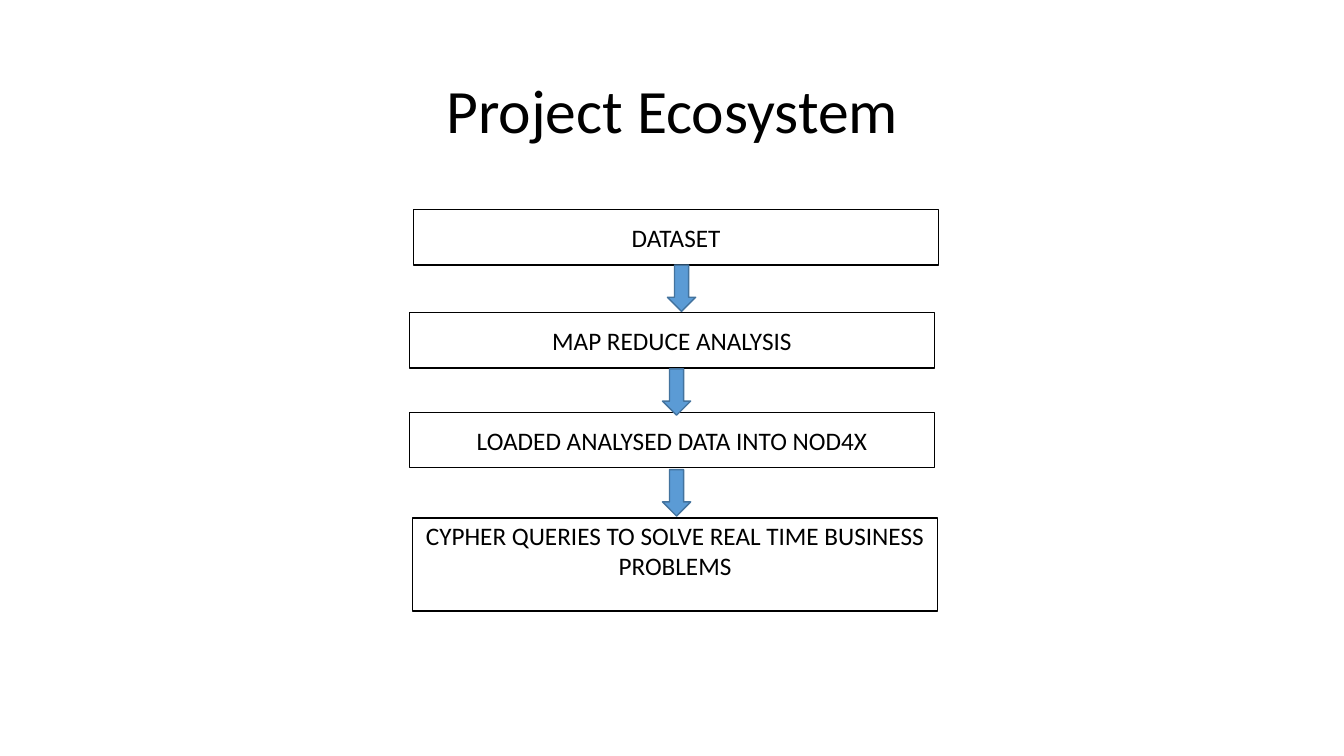
from dataclasses import dataclass

from pptx import Presentation
from pptx.dml.color import RGBColor
from pptx.enum.shapes import MSO_SHAPE
from pptx.enum.text import MSO_ANCHOR, PP_ALIGN
from pptx.util import Inches, Pt

RECT, DOWN_ARROW = MSO_SHAPE.RECTANGLE, MSO_SHAPE.DOWN_ARROW
TOP, MIDDLE = MSO_ANCHOR.TOP, MSO_ANCHOR.MIDDLE
CENTER = PP_ALIGN.CENTER


@dataclass(frozen=True)
class Theme:
    font: str = "Calibri"
    ink: str = "000000"
    paper: str = "FFFFFF"
    arrow: str = "5B9BD5"
    arrow_line: str = "43739E"
    title_size: int = 44
    step_size: int = 18
    line_width: int = 1


def write(tf, text, *, font, size, color, anchor=MIDDLE, line_spacing=None,
          margin_top=0.05):
    """Fill a text frame with one centred, wrapped paragraph."""
    tf.word_wrap = True
    tf.vertical_anchor = anchor
    tf.margin_top = Inches(margin_top)
    p = tf.paragraphs[0]
    p.alignment = CENTER
    if line_spacing:
        p.line_spacing = line_spacing
    r = p.add_run()
    r.text = text
    r.font.name = font
    r.font.size = Pt(size)
    r.font.color.rgb = RGBColor.from_string(color)


class SlideBuilder:
    def __init__(self, slide, theme):
        self.slide = slide
        self.theme = theme

    def shape(self, kind, box, fill, line):
        sp = self.slide.shapes.add_shape(kind, *map(Inches, box))
        sp.shadow.inherit = False
        sp.fill.solid()
        sp.fill.fore_color.rgb = RGBColor.from_string(fill)
        sp.line.color.rgb = RGBColor.from_string(line)
        sp.line.width = Pt(self.theme.line_width)
        return sp

    def title(self, text, box):
        t = self.theme
        sp = self.slide.shapes.add_textbox(*map(Inches, box))
        write(sp.text_frame, text, font=t.font, size=t.title_size,
              color=t.ink, line_spacing=0.9)

    def step(self, text, box, **text_format):
        t = self.theme
        sp = self.shape(RECT, box, t.paper, t.ink)
        write(sp.text_frame, text, font=t.font, size=t.step_size,
              color=t.ink, **text_format)

    def down_arrow(self, left, top):
        t = self.theme
        self.shape(DOWN_ARROW, (left, top, 0.28, 0.46), t.arrow, t.arrow_line)


def main():
    prs = Presentation()
    prs.slide_width, prs.slide_height = Inches(13.33), Inches(7.5)
    s = SlideBuilder(prs.slides.add_slide(prs.slide_layouts[6]), Theme())

    s.title("Project Ecosystem", (0.92, 0.4, 11.5, 1.45))

    step_width, step_height = 5.21, 0.55
    for text, left, top in (
        ("DATASET", 4.1, 2.08),
        ("MAP REDUCE ANALYSIS", 4.06, 3.1),
        ("LOADED ANALYSED DATA INTO NOD4X", 4.06, 4.09),
    ):
        s.step(text, (left, top, step_width, step_height))
    s.step("CYPHER QUERIES TO SOLVE REAL TIME BUSINESS PROBLEMS",
           (4.09, 5.14, step_width, 0.92), anchor=TOP, margin_top=0.02)

    for left, top in ((6.62, 2.63), (6.57, 3.66), (6.57, 4.66)):
        s.down_arrow(left, top)

    prs.save("out.pptx")


if __name__ == "__main__":
    main()
